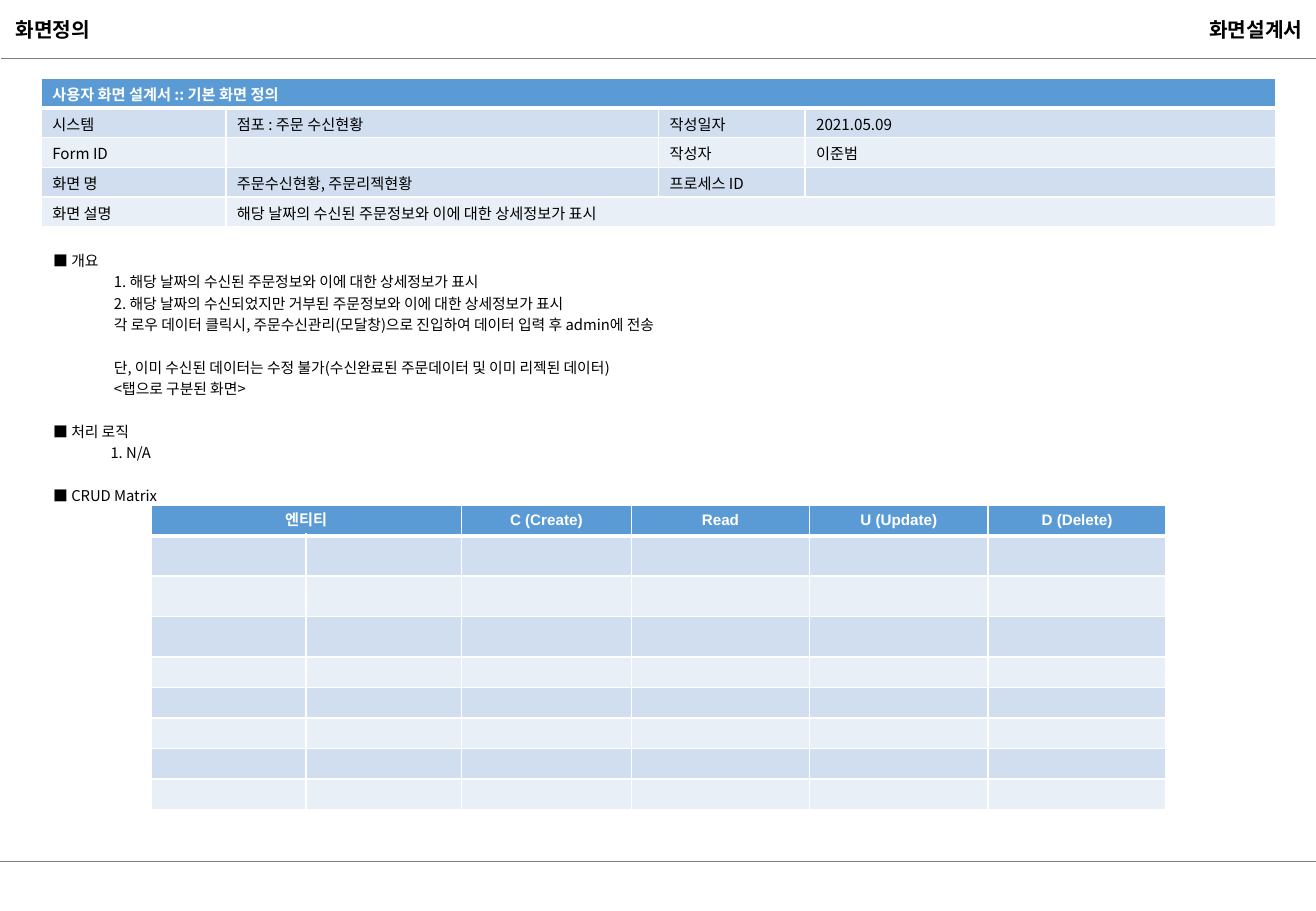
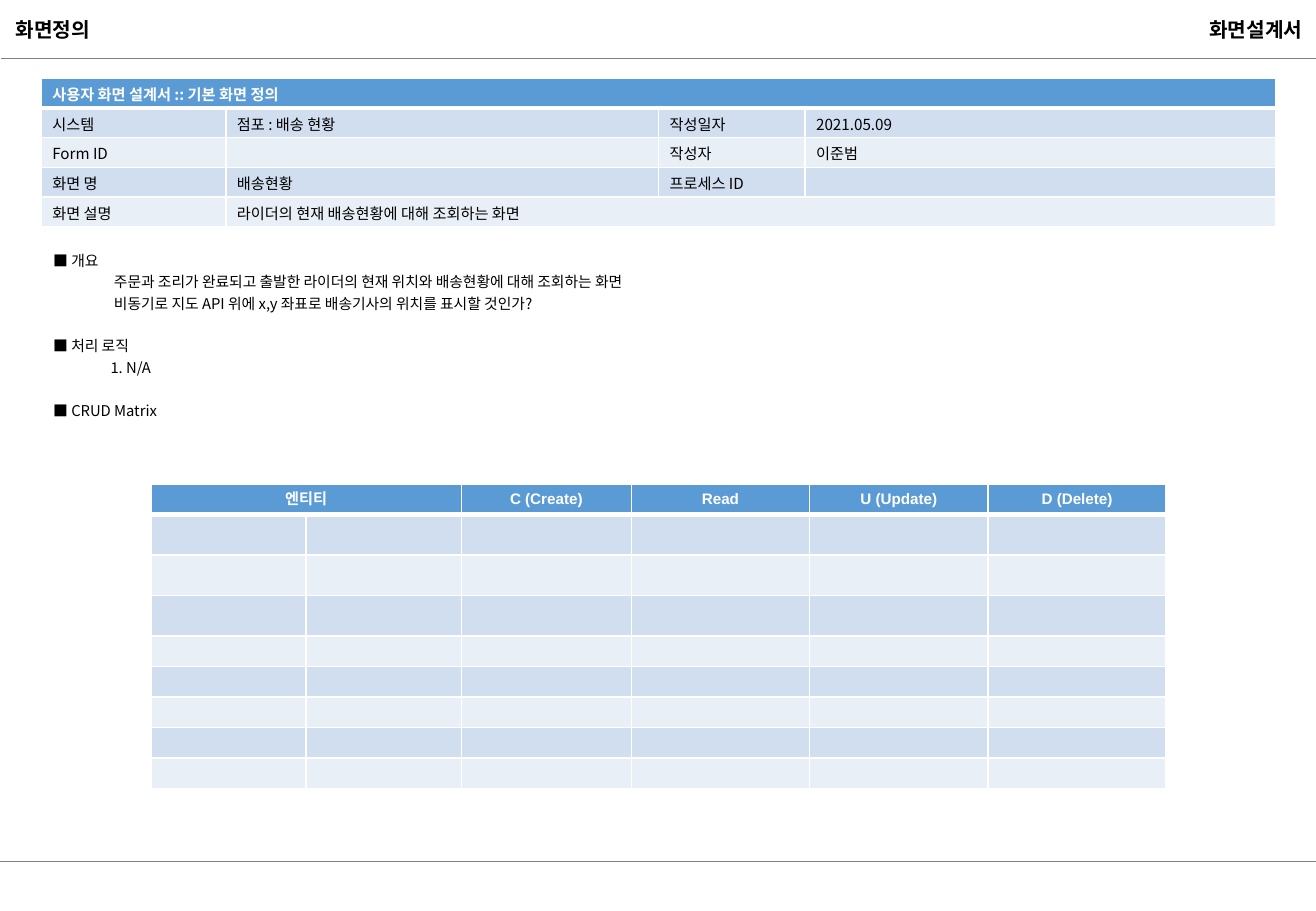
from lxml.etree import SubElement as Sub
from pptx import Presentation
from pptx.dml.color import RGBColor as RGB
from pptx.enum.shapes import MSO_CONNECTOR as LINE
from pptx.enum.text import MSO_ANCHOR as ANCHOR, PP_ALIGN as ALIGN
from pptx.oxml.ns import qn
from pptx.util import Pt

COLORS = {"head": "5B9BD5", "odd": "D0DEEF", "even": "E9EFF7",
          "rule": "7F7F7F", "ink": "000000", "white": "FFFFFF"}
KOREAN, LATIN = "Noto Sans CJK KR", "Arial"
WIDE, HIGH = 780, 540
LEFT, SPAN = 24.5, 731.5
PITCH = 12.7


def color(key):
    return RGB.from_string(COLORS[key])


def write(para, text, size=9, font=KOREAN, ink="ink", bold=False,
          align=ALIGN.LEFT, line=None, before=0, indent=0):
    """Fill a paragraph with formatted text."""
    para.alignment = align
    para.space_before = Pt(before)
    if line:
        para.line_spacing = Pt(line)
    if indent:
        para.level = 1
        props = para._p.get_or_add_pPr()
        props.set("marL", str(Pt(indent)))
        props.set("indent", "0")
    if not text:
        Sub(para._p, qn("a:endParaRPr"), sz=str(int(size * 100)))
        return
    run = para.add_run()
    run.text = text
    run.font.name, run.font.size, run.font.bold = font, Pt(size), bold
    run.font.color.rgb = color(ink)
    Sub(run._r.get_or_add_rPr(), qn("a:ea"), typeface=font)


class Deck:
    def __init__(self):
        self.prs = Presentation()
        self.prs.slide_width, self.prs.slide_height = Pt(WIDE), Pt(HIGH)
        self.slide = None

    def page(self):
        """Start a slide with the shared rules and titles."""
        self.slide = self.prs.slides.add_slide(self.prs.slide_layouts[6])
        self.rule(0, 510.5)
        self.rule(0.7, 34.5)
        style = dict(size=12, bold=True, line=14.4)
        self.text(2.2, 6.5, 62.6, 21.6, [("화면정의", style)])
        self.text(558, 6.5, 221, 21.6,
                  [("화면설계서", dict(style, align=ALIGN.RIGHT))])

    def rule(self, x, y):
        line = self.slide.shapes.add_connector(
            LINE.STRAIGHT, Pt(x), Pt(y), Pt(WIDE), Pt(y))
        line.line.color.rgb = color("rule")
        line.line.width = Pt(0.75)
        Sub(line._element.spPr, qn("a:effectLst"))

    def text(self, x, y, w, h, lines):
        box = self.slide.shapes.add_textbox(Pt(x), Pt(y), Pt(w), Pt(h))
        frame = box.text_frame
        frame.word_wrap = True
        for i, (text, style) in enumerate(lines):
            para = frame.add_paragraph() if i else frame.paragraphs[0]
            write(para, text, **style)

    def notes(self, heads):
        """List headed sections, each of (text, gap above) items."""
        lines = []
        for head, indent, items in heads:
            gap = PITCH if lines else 0
            lines.append(("■ " + head, dict(size=8.8, line=PITCH, before=gap)))
            for text, skip in items:
                lines.append((text, dict(size=8.8, line=PITCH, indent=indent,
                                         before=PITCH * skip)))
        self.text(LEFT, 143.3, SPAN, 95, lines)

    def border(self, cell, row):
        props = cell._tc.get_or_add_tcPr()
        for side in "LRTB":
            thick = (row, side) in ((0, "B"), (1, "T"))
            edge = Sub(props, qn("a:ln" + side), w=str(Pt(3 if thick else 1)))
            fill = Sub(edge, qn("a:solidFill"))
            Sub(fill, qn("a:srgbClr"), val=COLORS["white"])

    def table(self, x, y, cols, rows, cells, pads, merges, **style):
        """Draw a banded table; pads are the side, top and bottom insets."""
        grid = self.slide.shapes.add_table(
            len(rows), len(cols), Pt(x), Pt(y), Pt(sum(cols)), Pt(sum(rows))).table
        grid.horz_banding = False
        for col, w in zip(grid.columns, cols):
            col.width = Pt(w)
        for r, h in enumerate(rows):
            grid.rows[r].height = Pt(h)
            band = "odd" if r % 2 else "even"
            for c, text in enumerate(cells[r]):
                cell = grid.cell(r, c)
                side, top, low = pads
                cell.margin_left = cell.margin_right = Pt(side)
                cell.margin_top, cell.margin_bottom = Pt(top), Pt(low)
                cell.vertical_anchor = ANCHOR.TOP
                self.border(cell, r)
                cell.fill.solid()
                cell.fill.fore_color.rgb = color(band if r else "head")
                write(cell.text_frame.paragraphs[0], text, bold=not r,
                      ink="ink" if r else "white", **style)
        for r, start, end in merges:
            grid.cell(r, start).merge(grid.cell(r, end))

    def form(self, system, name, about):
        cells = [["사용자 화면 설계서 :: 기본 화면 정의", "", "", ""],
                 ["시스템", system, "작성일자", "2021.05.09"],
                 ["Form ID", "", "작성자", "이준범"],
                 ["화면 명", name, "프로세스 ID", ""],
                 ["화면 설명", about, "", ""]]
        self.table(LEFT, 46.4, [109.5, 256.5, 86.8, 278.7], [17.6] * 5, cells,
                   (6.5, 2.7, 1.6), [(0, 0, 3), (4, 1, 3)])

    def matrix(self, y):
        heads = ["엔티티", "", "C (Create)", "Read", "U (Update)", "D (Delete)"]
        rows = [17.6] + [24] * 3 + [18] * 5
        cells = [heads] + [[""] * len(heads)] * (len(rows) - 1)
        self.table(89.4, y, [92, 92, 100.8] + [105.7] * 3, rows, cells,
                   (7.2, 3.6, 3.6), [(0, 0, 1)], font=LATIN, align=ALIGN.CENTER)


# Content of each screen
SCREENS = [
    dict(form=("점포 : 주문 수신현황", "주문수신현황, 주문리젝현황",
               "해당 날짜의 수신된 주문정보와 이에 대한 상세정보가 표시"),
         items=[("1. 해당 날짜의 수신된 주문정보와 이에 대한 상세정보가 표시", 0),
                ("2. 해당 날짜의 수신되었지만 거부된 주문정보와 이에 대한 상세정보가 표시", 0),
                ("각 로우 데이터 클릭시, 주문수신관리(모달창)으로 진입하여 "
                 "데이터 입력 후 admin에 전송", 0),
                ("단, 이미 수신된 데이터는 수정 불가"
                 "(수신완료된 주문데이터 및 이미 리젝된 데이터)", 1),
                ("<탭으로 구분된 화면>", 0)],
         top=299.5),
    dict(form=("점포 : 배송 현황", "배송현황",
               "라이더의 현재 배송현황에 대해 조회하는 화면"),
         items=[("주문과 조리가 완료되고 출발한 라이더의 현재 위치와 "
                 "배송현황에 대해 조회하는 화면", 0),
                ("비동기로 지도 API 위에 x,y 좌표로 배송기사의 위치를 표시할 것인가?", 0)],
         top=287),
]

# Build the slides
deck = Deck()
for screen in SCREENS:
    deck.page()
    deck.form(*screen["form"])
    deck.notes([("개요", 36, screen["items"]),
                ("처리 로직", 34, [("1. N/A", 0)]),
                ("CRUD Matrix", 0, [])])
    deck.matrix(screen["top"])
deck.prs.save("out.pptx")
